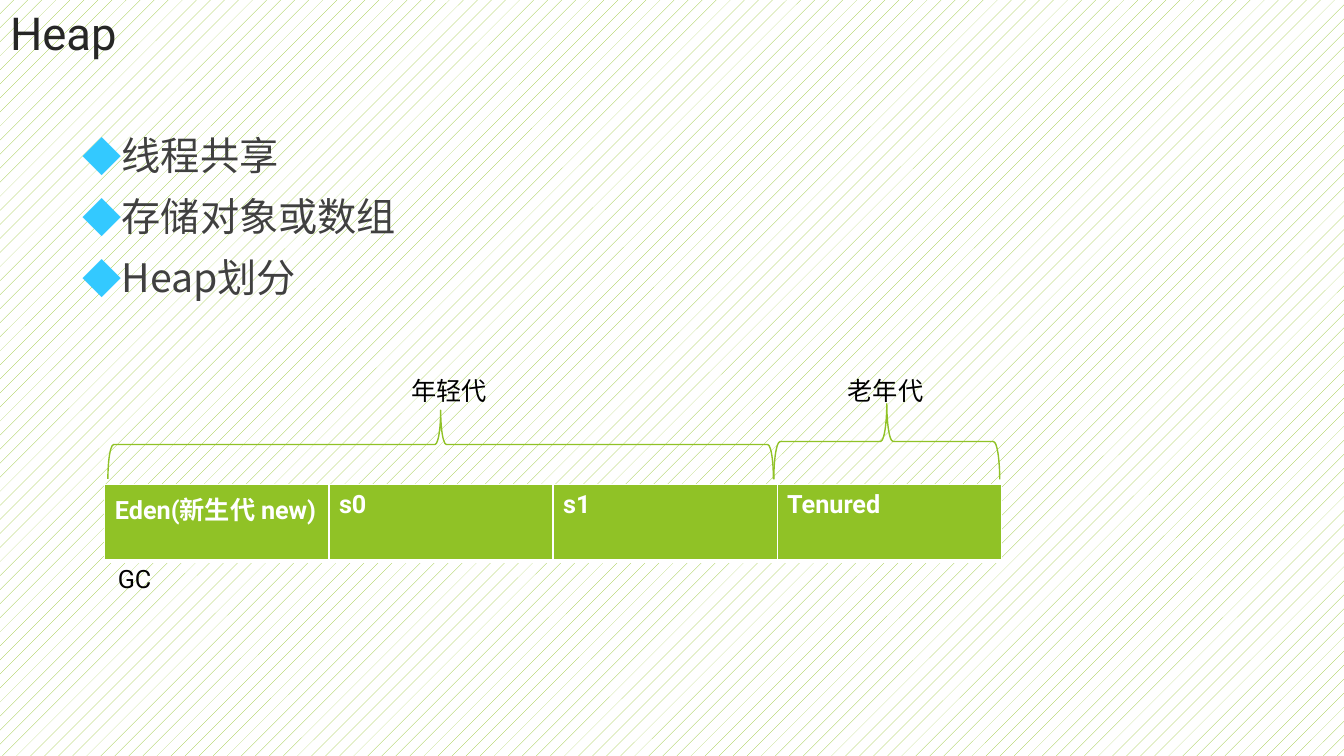
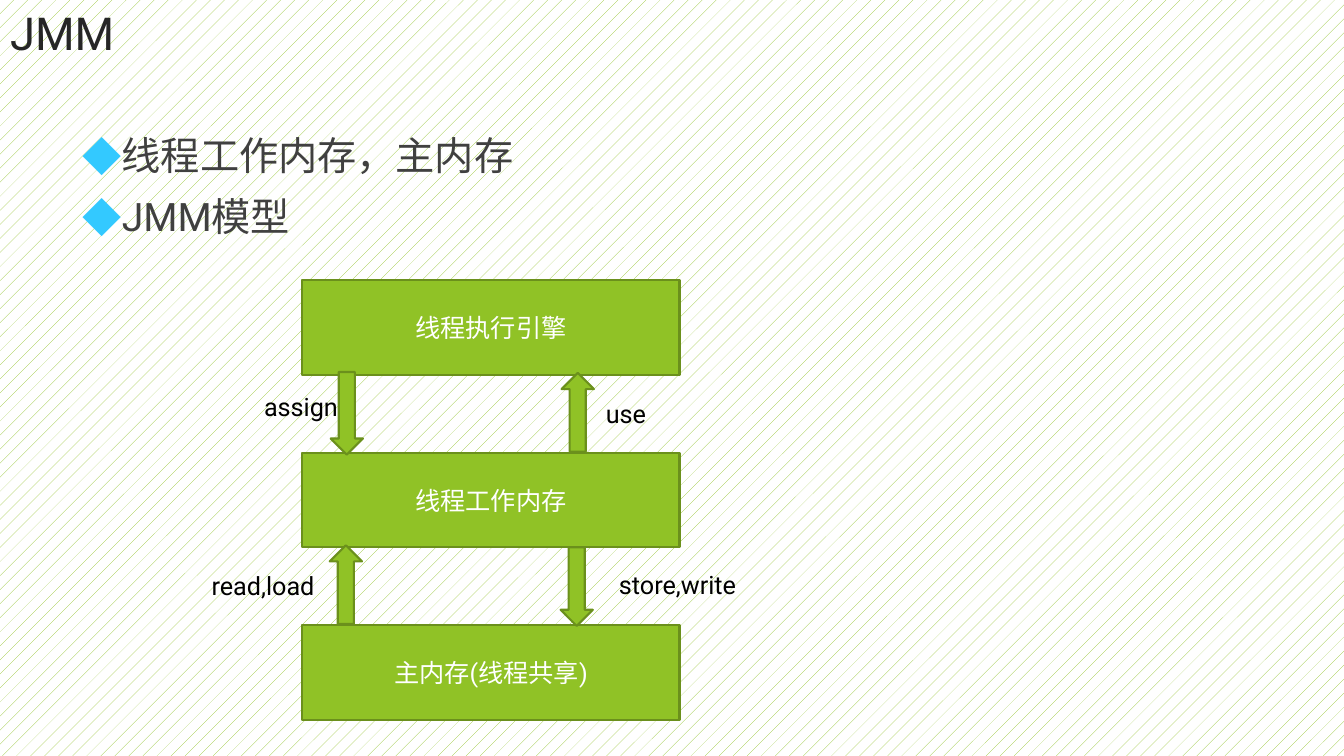
from lxml import etree
from pptx import Presentation
from pptx.dml.color import RGBColor
from pptx.enum.dml import MSO_PATTERN
from pptx.enum.shapes import MSO_SHAPE
from pptx.enum.text import MSO_ANCHOR, MSO_AUTO_SIZE, PP_ALIGN
from pptx.oxml.ns import qn
from pptx.util import Inches, Pt

GREEN = RGBColor(0x90, 0xC2, 0x26)
DARK_GREEN = RGBColor(0x6B, 0x90, 0x1C)
BLUE = RGBColor(0x33, 0xC9, 0xFF)
WHITE = RGBColor(0xFF, 0xFF, 0xFF)
BLACK = RGBColor(0, 0, 0)
TITLE_GRAY = RGBColor(0x26, 0x26, 0x26)
BODY_GRAY = RGBColor(0x40, 0x40, 0x40)
LATIN_FONT, CJK_FONT = "Roboto", "Noto Sans CJK JP"

HEAP_BULLETS = [("线程共享", CJK_FONT), ("存储对象或数组", CJK_FONT), ("Heap划分", CJK_FONT)]
HEAP_AREAS = ["Eden(新生代 new)", "s0", "s1", "Tenured"]
HEAP_TABLE = (1.04, 4.81, 8.89, 0.41)
# Boxes before the quarter turn: left, top, width, height
HEAP_BRACES = [(4.03, 1.11, 0.68, 6.6), (8.42, 3.26, 0.75, 2.24)]
HEAP_LABELS = [
    ("年轻代", 3.98, 3.67, 0.96),
    ("老年代", 8.31, 3.67, 1.23),
    ("GC", 1.07, 5.54, 1.56),
]

JMM_BULLETS = [("线程工作内存，主内存", CJK_FONT), ("JMM模型", LATIN_FONT)]
JMM_LAYERS = ["线程执行引擎", "线程工作内存", "主内存(线程共享)"]
LAYER_LEFT, LAYER_TOP, LAYER_WIDTH, LAYER_HEIGHT, LAYER_STEP = 3, 2.78, 3.74, 0.94, 1.71
JMM_ARROWS = [
    (MSO_SHAPE.DOWN_ARROW, 3.28, 3.69, 0.82),
    (MSO_SHAPE.UP_ARROW, 5.57, 3.7, 0.78),
    (MSO_SHAPE.UP_ARROW, 3.27, 5.41, 0.78),
    (MSO_SHAPE.DOWN_ARROW, 5.56, 5.43, 0.78),
]
JMM_LABELS = [
    ("assign", 2.52, 3.83, 1.65),
    ("use", 5.91, 3.9, 1.65),
    ("read,load", 2, 5.61, 1.34),
    ("store,write", 6.04, 5.6, 1.65),
]


def place(shape, *box):
    shape.left, shape.top, shape.width, shape.height = map(Inches, box)


def add_run(paragraph, text, size, color, font_name=LATIN_FONT, bold=False):
    run = paragraph.add_run()
    run.text = text
    font = run.font
    font.size, font.name, font.bold = Pt(size), font_name, bold
    font.color.rgb = color
    east_asian = etree.SubElement(run._r.get_or_add_rPr(), qn("a:ea"))
    east_asian.set("typeface", CJK_FONT)


def add_bullet(paragraph, text, font_name):
    paragraph.space_before = Pt(10)
    paragraph.line_spacing = Pt(33.6)
    properties = paragraph._p.get_or_add_pPr()
    properties.set("marL", str(Inches(0.3)))
    properties.set("indent", str(-Inches(0.3)))
    properties.set("marL", str(Inches(0.38)))
    properties.set("indent", str(-Inches(0.38)))
    bullet_color = etree.SubElement(properties, qn("a:buClr"))
    etree.SubElement(bullet_color, qn("a:srgbClr")).set("val", str(BLUE))
    etree.SubElement(properties, qn("a:buFont")).set("typeface", CJK_FONT)
    etree.SubElement(properties, qn("a:buChar")).set("char", "◆")
    add_run(paragraph, text, 28, BODY_GRAY, font_name)


def add_topic_slide(presentation, title, bullets):
    slide = presentation.slides.add_slide(presentation.slide_layouts[1])
    heading, body = slide.placeholders
    place(heading, 0, 0, 9.4, 0.64)
    place(body, 0.72, 1.25, 10.65, 5.88)
    for placeholder in (heading, body):
        placeholder.text_frame.auto_size = MSO_AUTO_SIZE.NONE
    heading.text_frame.vertical_anchor = MSO_ANCHOR.MIDDLE
    paragraph = heading.text_frame.paragraphs[0]
    paragraph.alignment = PP_ALIGN.LEFT
    add_run(paragraph, title, 32.4, TITLE_GRAY)
    for index, (text, font_name) in enumerate(bullets):
        frame = body.text_frame
        add_bullet(frame.add_paragraph() if index else frame.paragraphs[0], text, font_name)
    return slide


def add_labels(slide, labels):
    for text, left, top, width in labels:
        box = slide.shapes.add_textbox(*map(Inches, (left, top, width, 0.4)))
        box.text_frame.word_wrap = True
        add_run(box.text_frame.paragraphs[0], text, 18, BLACK)


def add_preset(slide, preset, box, line_color, line_width, filled=True):
    shape = slide.shapes.add_shape(preset, *map(Inches, box))
    shape.shadow.inherit = False
    if filled:
        shape.fill.solid()
        shape.fill.fore_color.rgb = GREEN
    else:
        shape.fill.background()
    shape.line.color.rgb = line_color
    shape.line.width = Pt(line_width)
    return shape


def set_cell_borders(cell):
    properties = cell._tc.get_or_add_tcPr()
    for index, (side, width) in enumerate((("L", 1), ("R", 1), ("T", 1), ("B", 3))):
        line = etree.Element(qn(f"a:ln{side}"), w=str(Pt(width)))
        fill = etree.SubElement(line, qn("a:solidFill"))
        etree.SubElement(fill, qn("a:srgbClr")).set("val", str(WHITE))
        properties.insert(index, line)


def add_heap_slide(presentation):
    slide = add_topic_slide(presentation, "Heap", HEAP_BULLETS)
    table = slide.shapes.add_table(1, len(HEAP_AREAS), *map(Inches, HEAP_TABLE)).table
    for cell, area in zip(table.rows[0].cells, HEAP_AREAS):
        cell.fill.solid()
        cell.fill.fore_color.rgb = GREEN
        set_cell_borders(cell)
        add_run(cell.text_frame.paragraphs[0], area, 18, WHITE, bold=True)
    for box in HEAP_BRACES:
        brace = add_preset(slide, MSO_SHAPE.LEFT_BRACE, box, GREEN, 1, filled=False)
        brace.rotation = 90
    add_labels(slide, HEAP_LABELS)


def add_jmm_slide(presentation):
    slide = add_topic_slide(presentation, "JMM", JMM_BULLETS)
    for index, layer in enumerate(JMM_LAYERS):
        box = (LAYER_LEFT, LAYER_TOP + index * LAYER_STEP, LAYER_WIDTH, LAYER_HEIGHT)
        shape = add_preset(slide, MSO_SHAPE.RECTANGLE, box, DARK_GREEN, 1.5)
        shape.text_frame.vertical_anchor = MSO_ANCHOR.MIDDLE
        paragraph = shape.text_frame.paragraphs[0]
        paragraph.alignment = PP_ALIGN.CENTER
        add_run(paragraph, layer, 18, WHITE)
    for preset, left, top, height in JMM_ARROWS:
        add_preset(slide, preset, (left, top, 0.32, height), DARK_GREEN, 1.5)
    add_labels(slide, JMM_LABELS)


def main():
    presentation = Presentation()
    presentation.slide_width, presentation.slide_height = Inches(13.33), Inches(7.5)
    background = presentation.slide_master.background.fill
    background.patterned()
    background.pattern = MSO_PATTERN.PERCENT_5
    background.fore_color.rgb = GREEN
    background.back_color.rgb = WHITE
    add_heap_slide(presentation)
    add_jmm_slide(presentation)
    presentation.save("out.pptx")


if __name__ == "__main__":
    main()
